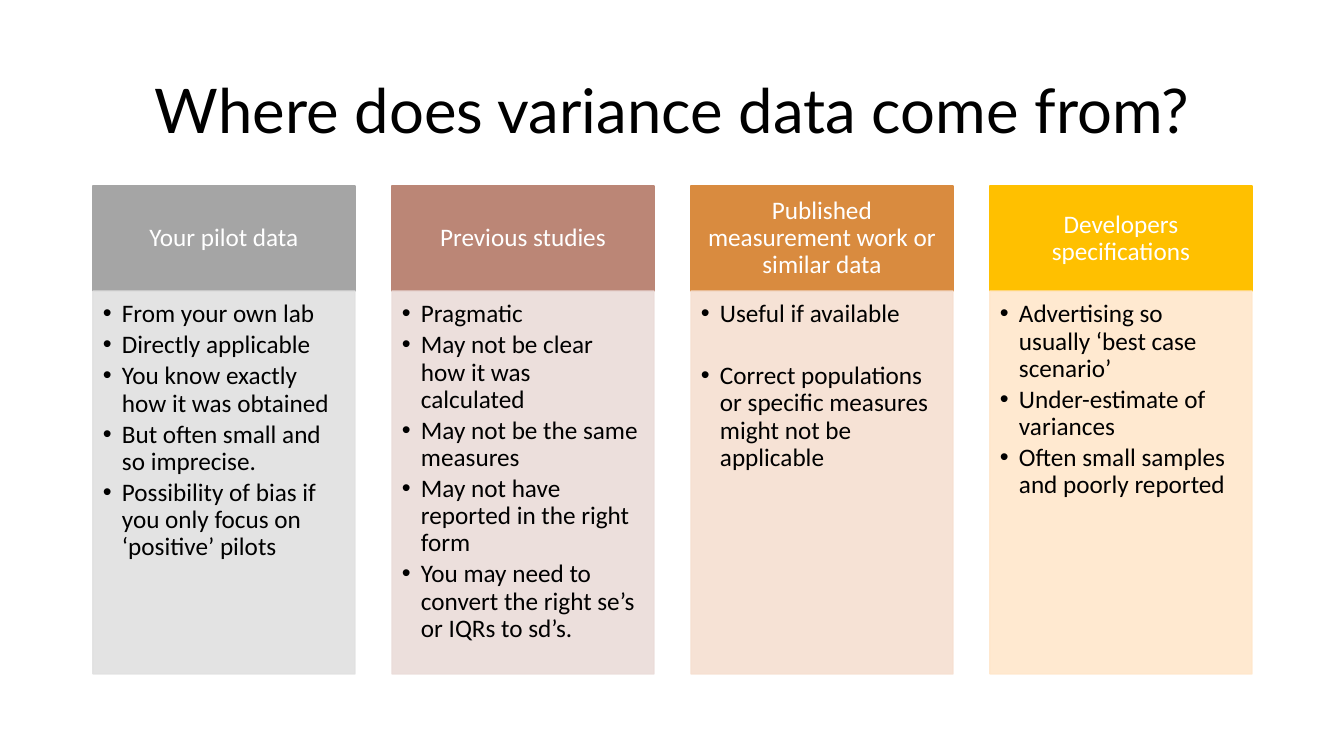
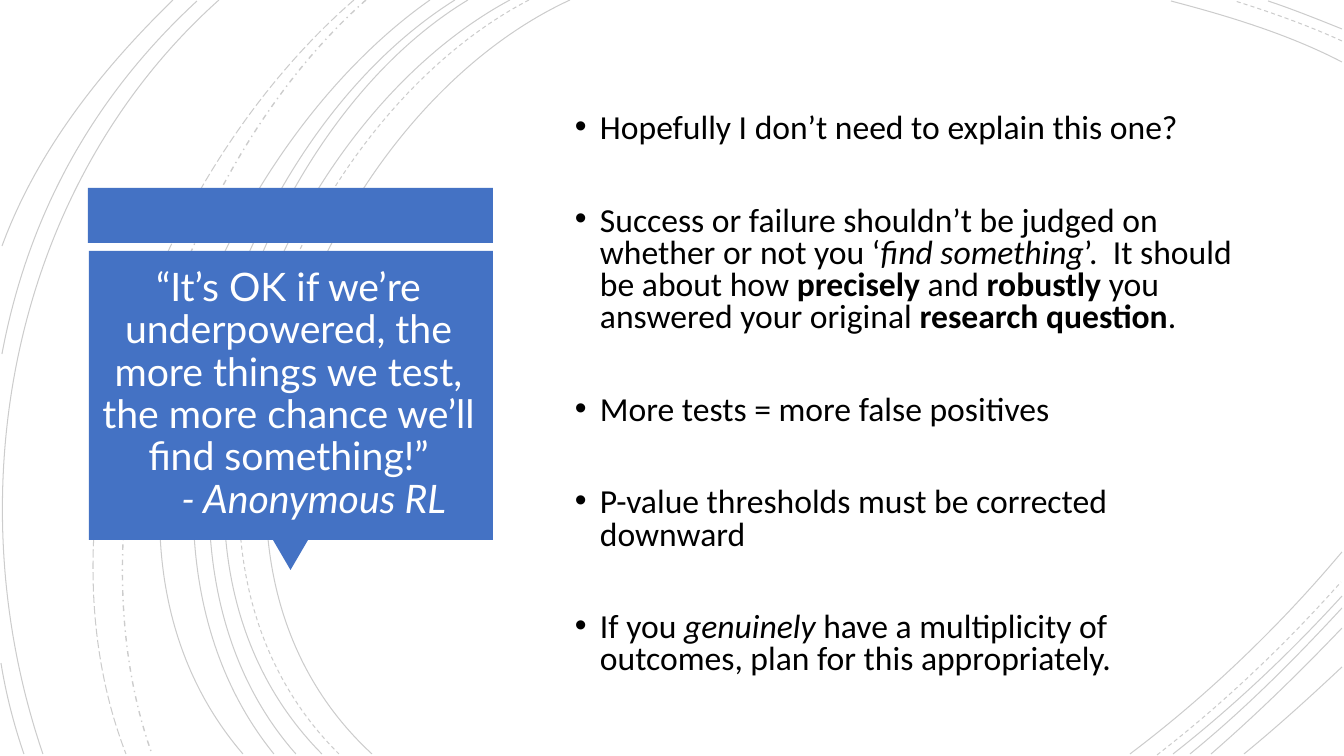
from lxml import etree
from pptx import Presentation
from pptx.dml.color import RGBColor
from pptx.enum.dml import MSO_LINE_DASH_STYLE as Dash
from pptx.enum.shapes import MSO_SHAPE as Preset
from pptx.enum.text import MSO_ANCHOR as Anchor, PP_ALIGN as Align
from pptx.oxml.ns import qn
from pptx.util import Pt

SLIDE_W, SLIDE_H = 1344, 756
EMU_PER_PX = 12192000 / SLIDE_W
TITLE_FONT, BODY_FONT = "Lato", "Calibri"
BLACK, WHITE, BLUE = "000000", "FFFFFF", "4472C4"


def px(length):
    return round(length * EMU_PER_PX)


def color(hex_code):
    return RGBColor.from_string(hex_code)


def set_alpha(shape, percent):
    for node in shape._element.spPr.iter(qn("a:srgbClr")):
        etree.SubElement(node, qn("a:alpha")).set("val", str(percent * 1000))


def add_box(slide, box, fill, outline=None, preset=Preset.RECTANGLE):
    shape = slide.shapes.add_shape(preset, *map(px, box))
    shape.shadow.inherit = False
    shape.fill.solid()
    shape.fill.fore_color.rgb = color(fill)
    if outline:
        shape.line.color.rgb = color(outline)
        shape.line.width = Pt(1)
    else:
        shape.line.fill.background()
    return shape


def set_frame(shape, anchor, insets=(10, 5, 10, 5)):
    frame = shape.text_frame
    frame.word_wrap = True
    frame.vertical_anchor = anchor
    (frame.margin_left, frame.margin_top,
     frame.margin_right, frame.margin_bottom) = map(px, insets)
    return frame


def add_text_box(slide, box, anchor):
    return set_frame(slide.shapes.add_textbox(*map(px, box)), anchor)


def style_paragraph(paragraph, size, hex_code, font=BODY_FONT, align=Align.LEFT, spacing=0.9):
    paragraph.alignment = align
    paragraph.line_spacing = spacing
    for run in paragraph.runs:
        run.font.size = Pt(size)
        run.font.name = font
        run.font.color.rgb = color(hex_code)


def add_bullet(paragraph, indent):
    properties = paragraph._p.get_or_add_pPr()
    properties.set("marL", str(px(indent)))
    properties.set("indent", str(-px(indent)))
    etree.SubElement(properties, qn("a:buFont")).set("typeface", "Arial")
    etree.SubElement(properties, qn("a:buChar")).set("char", "•")


def paragraphs_for(frame, items):
    """Pair each item with its own paragraph of the frame."""
    for index, item in enumerate(items):
        yield (frame.add_paragraph() if index else frame.paragraphs[0]), item


# ---- Slide 1: four columns ----
COLUMNS = [
    ("Your pilot data", "A5A5A5", "E1E1E1", 2.7,
     ["From your own lab", "Directly applicable",
      "You know exactly how it was obtained",
      "But often small and so imprecise.",
      "Possibility of bias if you only focus on ‘positive’ pilots"]),
    ("Previous studies", "BB8676", "EBDCD9", 2.7,
     ["Pragmatic", "May not be clear how it was calculated",
      "May not be the same measures",
      "May not have reported in the right form",
      "You may need to convert the right se’s or IQRs to sd’s."]),
    ("Published measurement work or similar data", "D98B3F", "F6DFD1", 24.8,
     ["Useful if available",
      "Correct populations or specific measures might not be applicable"]),
    ("Developers specifications", "FFC000", "FFE7CB", 2.7,
     ["Advertising so usually ‘best case scenario’",
      "Under-estimate of variances",
      "Often small samples and poorly reported"]),
]


def add_title(slide, box, text):
    frame = add_text_box(slide, box, Anchor.MIDDLE)
    frame.text = text
    style_paragraph(frame.paragraphs[0], 44, BLACK, TITLE_FONT, Align.CENTER)


def add_column(slide, box, column):
    left, top, width, height = box
    heading, strong, pale, gap, points = column
    head_height = 105

    # Heading
    head = add_box(slide, (left, top, width, head_height), strong, strong)
    frame = set_frame(head, Anchor.MIDDLE, (14, 8, 14, 8))
    frame.text = heading
    style_paragraph(frame.paragraphs[0], 18, WHITE, align=Align.CENTER)

    # Bullet panel
    panel = add_box(slide, (left, top + head_height, width, height - head_height), pale, pale)
    set_alpha(panel, 90)
    frame = set_frame(panel, Anchor.TOP, (10, 10, 14, 16))
    for paragraph, point in paragraphs_for(frame, points):
        paragraph.text = point
        add_bullet(paragraph, 19)
        paragraph.space_after = Pt(gap)
        style_paragraph(paragraph, 18, BLACK)


def build_variance_slide(slide):
    add_title(slide, (93, 41, 1159, 146), "Where does variance data come from?")
    left, top, width, height, column_width = 93, 186, 1159, 488, 262
    pitch = (width - column_width) // (len(COLUMNS) - 1)
    for index, column in enumerate(COLUMNS):
        add_column(slide, (left + index * pitch, top, column_width, height), column)


# ---- Slide 2: quote and answers ----
# Each arc: start, two control points, end
ARCS = {
    (Dash.SOLID, 0.75): [
        (570, 0, 318, 116, 144, 544, 372, 754),
        (510, 0, 272, 128, 111, 541, 322, 754),
        (468, 0, 246, 134, 111, 545, 296, 754),
        (455, 0, 233, 139, 98, 537, 274, 754),
        (430, 0, 219, 148, 53, 533, 243, 754),
        (219, 0, 11, 186, -46, 494, 43, 754),
        (197, 1, 93, 97, 28, 215, 2, 354),
        (173, 0, 101, 70, 37, 151, 2, 246),
        (1, 663, 6, 694, 14, 725, 24, 754),
        (1342, 62, 1288, 34, 1228, 16, 1171, 1),
        (1342, 29, 1317, 19, 1292, 9, 1268, 1),
        (1130, 754, 1207, 696, 1279, 627, 1342, 552),
        (1173, 754, 1233, 707, 1290, 653, 1342, 596),
        (1190, 754, 1244, 710, 1294, 660, 1342, 608),
        (1211, 754, 1256, 715, 1300, 672, 1342, 628),
        (1244, 754, 1277, 727, 1309, 698, 1342, 667),
    ],
    (Dash.DASH, 0.75): [
        (529, 0, 287, 126, 124, 541, 339, 754),
        (1342, 41, 1307, 25, 1270, 12, 1235, 1),
        (1157, 755, 1223, 704, 1285, 645, 1341, 582),
    ],
    (Dash.DASH_DOT, 1): [(366, 0, 177, 167, 66, 513, 152, 754)],
    (Dash.LONG_DASH, 0.75): [(354, 0, 158, 170, 29, 503, 126, 754)],
}

ANSWERS = [
    [("Hopefully I don’t need to explain this one?", "")],
    [("Success or failure shouldn’t be judged on whether or not you ‘", ""),
     ("find something", "i"), ("’.  It should be about how ", ""),
     ("precisely", "b"), (" and ", ""), ("robustly", "b"),
     (" you answered your original ", ""), ("research question", "b"), (".", "")],
    [("More tests = more false positives", "")],
    [("P-value thresholds must be corrected downward", "")],
    [("If you ", ""), ("genuinely", "i"),
     (" have a multiplicity of outcomes, plan for this appropriately.", "")],
]


def add_arc(slide, arc, dash, weight):
    points = list(zip(map(px, arc[::2]), map(px, arc[1::2])))
    builder = slide.shapes.build_freeform(*points[0])
    builder.add_line_segments(points[1:], close=False)
    shape = builder.convert_to_shape()

    # Join the three segments into one cubic curve
    segments = list(shape._element.spPr.iter(qn("a:lnTo")))
    outline = segments[0].getparent()
    curve = etree.SubElement(outline, qn("a:cubicBezTo"))
    for segment in segments:
        curve.append(segment[0])
        outline.remove(segment)

    shape.shadow.inherit = False
    shape.fill.background()
    shape.line.color.rgb = color(BLACK)
    shape.line.width = Pt(weight)
    shape.line.dash_style = dash
    set_alpha(shape, 20)


def add_quote(slide, box):
    left, top, width, height = box
    # Top band, pointer and panel
    add_box(slide, (left, top, width, 55), BLUE)
    pointer = add_box(slide, (left + width // 2 - 17, top + height - 30, 35, 30), BLUE,
                      preset=Preset.ISOSCELES_TRIANGLE)
    pointer.rotation = 180
    add_box(slide, (left + 1, top + 63, width - 1, height - 93), BLUE)

    # Quote and its speaker
    frame = add_text_box(slide, (left + 1, top + 63, width - 6, height - 95), Anchor.MIDDLE)
    paragraph = frame.paragraphs[0]
    paragraph.text = ("“It’s OK if we’re underpowered, the more things we test, "
                      "the more chance we’ll find something!”\v\t")
    speaker = paragraph.add_run()
    speaker.text = "- Anonymous RL"
    speaker.font.italic = True
    style_paragraph(paragraph, 28, WHITE, TITLE_FONT, Align.CENTER)


def add_answers(slide, box):
    frame = add_text_box(slide, box, Anchor.MIDDLE)
    for paragraph, parts in paragraphs_for(frame, ANSWERS):
        for text, emphasis in parts:
            run = paragraph.add_run()
            run.text = text
            run.font.bold = emphasis == "b"
            run.font.italic = emphasis == "i"
        add_bullet(paragraph, 25)
        if parts is not ANSWERS[0]:
            paragraph.space_before = Pt(43)
        style_paragraph(paragraph, 24, BLACK, spacing=0.8)


def build_quote_slide(slide):
    for (dash, weight), arcs in ARCS.items():
        for arc in arcs:
            add_arc(slide, arc, dash, weight)
    add_quote(slide, (88, 188, 405, 382))
    add_answers(slide, (565, 89, 692, 613))


def main():
    presentation = Presentation()
    presentation.slide_width, presentation.slide_height = px(SLIDE_W), px(SLIDE_H)
    blank = presentation.slide_layouts[6]
    for build in (build_variance_slide, build_quote_slide):
        build(presentation.slides.add_slide(blank))
    presentation.save("out.pptx")


if __name__ == "__main__":
    main()
